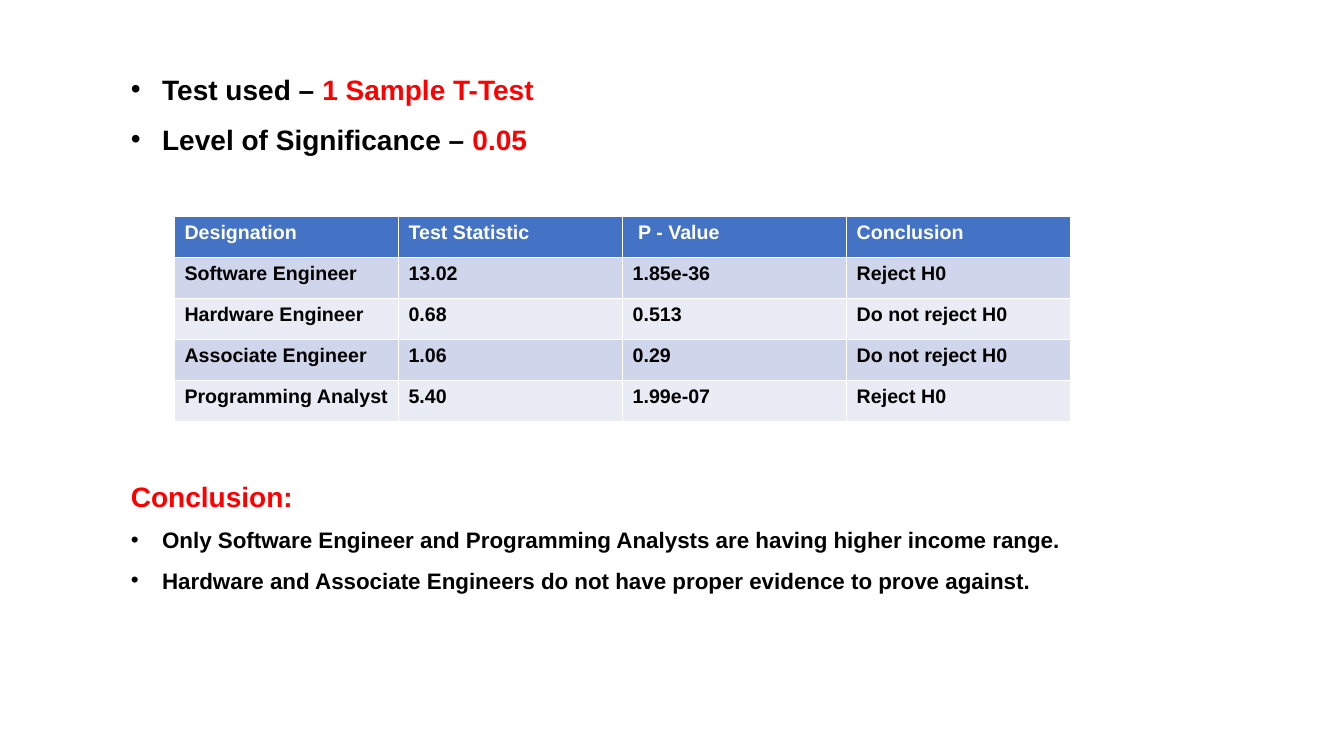
from lxml.etree import SubElement
from pptx import Presentation
from pptx.dml.color import RGBColor
from pptx.oxml.ns import qn
from pptx.util import Inches, Pt

BLACK, RED, WHITE = "000000", "FF0000", "FFFFFF"
HEAD, BANDS = "4472C4", ("E9EBF5", "CFD5EA")

RESULTS = [
    ("Designation", "Test Statistic", " P - Value", "Conclusion"),
    ("Software Engineer", "13.02", "1.85e-36", "Reject H0"),
    ("Hardware Engineer", "0.68", "0.513", "Do not reject H0"),
    ("Associate Engineer", "1.06", "0.29", "Do not reject H0"),
    ("Programming Analyst", "5.40", "1.99e-07", "Reject H0"),
]

# Each line: size, bulleted, runs of (text, colour)
SETUP = [
    (20, True, [("Test used – ", BLACK), ("1 Sample T-Test", RED)]),
    (20, True, [("Level of Significance – ", BLACK), ("0.05", RED)]),
]
FINDINGS = [
    (20, False, [("Conclusion:", RED)]),
    (16, True, [("Only Software Engineer and Programming Analysts "
                 "are having higher income range.", BLACK)]),
    (16, True, [("Hardware and Associate Engineers do not have "
                 "proper evidence to prove against.", BLACK)]),
]


def rgb(color):
    return RGBColor.from_string(color)


def set_font(font, size):
    font.name = "Arial"
    font.size = Pt(size)
    font.bold = True


def add_bullet(para):
    """Give the paragraph a black dot with a hanging indent."""
    props = para._p.get_or_add_pPr()
    props.set("marL", str(Inches(0.31)))
    props.set("indent", str(-Inches(0.31)))
    tint = SubElement(props, qn("a:buClr"))
    SubElement(tint, qn("a:srgbClr"), val=BLACK)
    SubElement(props, qn("a:buFont"), typeface="Arial")
    SubElement(props, qn("a:buChar"), char="•")


def add_text(slide, left, top, width, height, lines):
    box = slide.shapes.add_textbox(
        Inches(left), Inches(top), Inches(width), Inches(height))
    frame = box.text_frame
    frame.word_wrap = True
    for i, (size, dotted, runs) in enumerate(lines):
        para = frame.add_paragraph() if i else frame.paragraphs[0]
        para.line_spacing = 1.5
        if dotted:
            add_bullet(para)
        set_font(para.font, size)
        for text, color in runs:
            run = para.add_run()
            run.text = text
            run.font.color.rgb = rgb(color)


def add_grid(slide, left, top, width, height, rows):
    """Add a table; its default style draws the white borders."""
    table = slide.shapes.add_table(
        len(rows), len(rows[0]), Inches(left), Inches(top),
        Inches(width), Inches(height)).table
    for r, row in enumerate(rows):
        for c, text in enumerate(row):
            cell = table.cell(r, c)
            cell.text = text
            cell.fill.solid()
            cell.fill.fore_color.rgb = rgb(BANDS[r % 2] if r else HEAD)
            font = cell.text_frame.paragraphs[0].font
            set_font(font, 14)
            font.color.rgb = rgb(BLACK if r else WHITE)


def main():
    deck = Presentation()
    deck.slide_width, deck.slide_height = Inches(13.33), Inches(7.5)
    slide = deck.slides.add_slide(deck.slide_layouts[6])
    add_grid(slide, 1.73, 2.15, 8.89, 2.03, RESULTS)
    add_text(slide, 1.2, 0.5, 6.21, 1.51, SETUP)
    add_text(slide, 1.2, 4.54, 10.17, 3.76, FINDINGS)
    deck.save("out.pptx")


if __name__ == "__main__":
    main()
